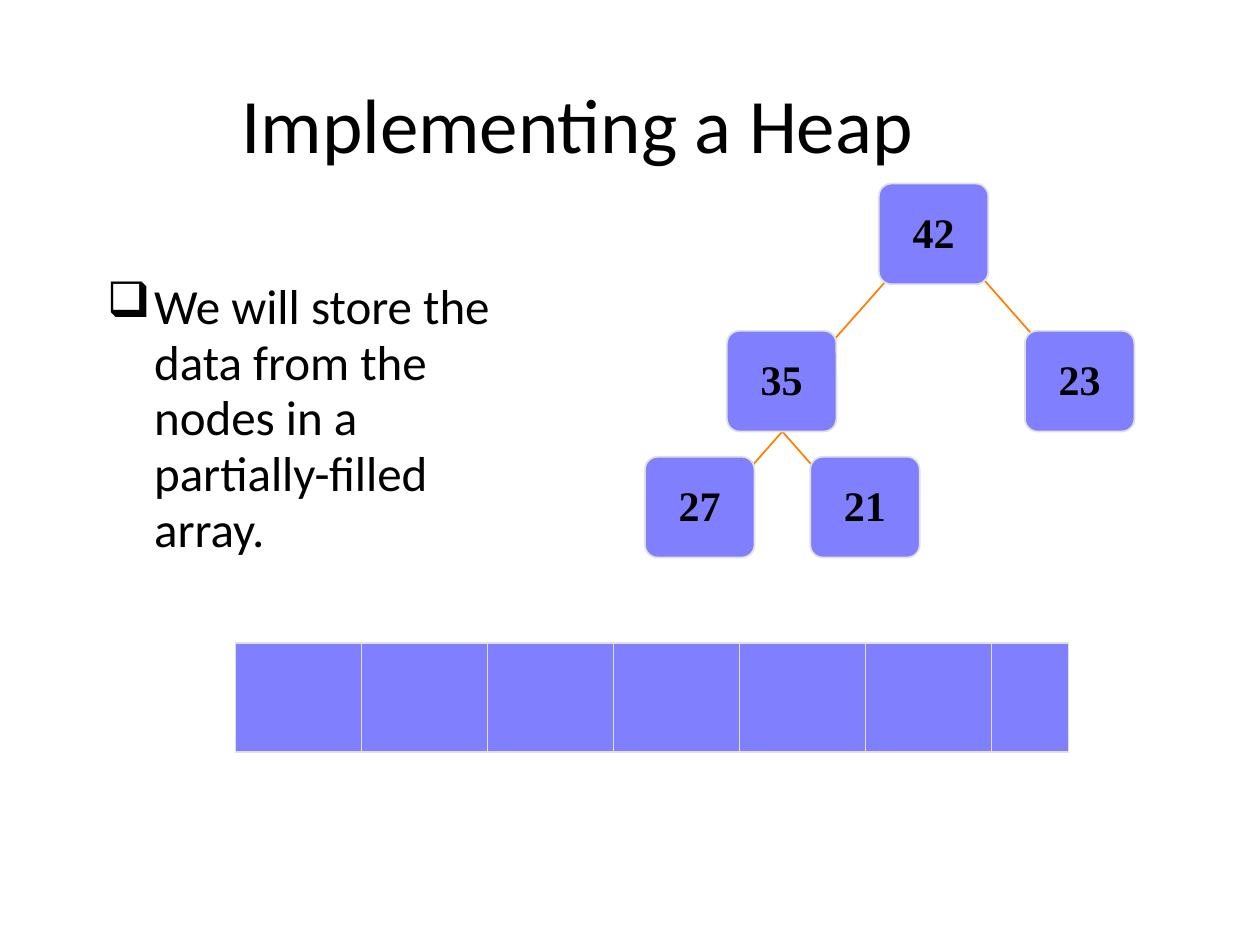
from lxml import etree
from pptx import Presentation
from pptx.dml.color import RGBColor
from pptx.enum.shapes import MSO_CONNECTOR, MSO_SHAPE
from pptx.enum.text import MSO_ANCHOR, PP_ALIGN
from pptx.oxml.ns import qn
from pptx.util import Pt

LINE = MSO_CONNECTOR.STRAIGHT
ROUND, RECT = MSO_SHAPE.ROUNDED_RECTANGLE, MSO_SHAPE.RECTANGLE
MID, TOP = MSO_ANCHOR.MIDDLE, MSO_ANCHOR.TOP
LEFT, CENTER = PP_ALIGN.LEFT, PP_ALIGN.CENTER
COLORS = {"text": "000000", "fill": "8080FF", "rim": "E0E0E0", "edge": "FF8000"}
HEX = {name: RGBColor.from_string(code) for name, code in COLORS.items()}

deck = Presentation()
deck.slide_width, deck.slide_height = Pt(720), Pt(540)
slide = deck.slides.add_slide(deck.slide_layouts[5])
shapes = slide.shapes


def write(shape, text, size, font, align, anchor, bold=False):
    frame = shape.text_frame
    frame.word_wrap = True
    frame.vertical_anchor = anchor
    para = frame.paragraphs[0]
    para.alignment = align
    para.line_spacing = 0.95
    run = para.add_run()
    run.text = text
    run.font.size, run.font.name, run.font.bold = Pt(size), font, bold
    run.font.color.rgb = HEX["text"]
    return para


def draw(shape, color):
    shape.line.color.rgb = HEX[color]
    shape.line.width = Pt(1)
    props = shape._element.spPr
    if props.find(qn("a:effectLst")) is None:
        etree.SubElement(props, qn("a:effectLst"))


# Title
title = shapes.title
title.left, title.top, title.width, title.height = Pt(24), Pt(27.4), Pt(612), Pt(90)
write(title, "Implementing a Heap", 44, "Calibri", CENTER, MID)

# Bullet text
body = shapes.add_textbox(Pt(54), Pt(156.2), Pt(258), Pt(324))
para = write(body, "We will store the data from the nodes in a partially-filled array.",
             28, "Calibri", LEFT, TOP)
para.space_before = Pt(7)
props = para._p.get_or_add_pPr()
props.set("marL", str(Pt(27)))
props.set("indent", str(-Pt(27)))
etree.SubElement(props, qn("a:buChar"), char="❑")

# Array with its cell dividers
left, top, high, cell = 134.6, 367.6, 62, 72
array = shapes.add_shape(RECT, Pt(left), Pt(top), Pt(476), Pt(high))
array.fill.solid()
array.fill.fore_color.rgb = HEX["fill"]
draw(array, "rim")
for i in range(1, 7):
    x = Pt(left + i * cell)
    draw(shapes.add_connector(LINE, x, Pt(top), x, Pt(top + high)), "rim")

# Tree edges, behind the nodes
for x1, y1, x2 in [(434.2, 232, 478.6), (460, 232, 415.4),
                   (559, 156.2, 603.4), (506.8, 160, 462.2)]:
    draw(shapes.add_connector(LINE, Pt(x1), Pt(y1), Pt(x2), Pt(y1 + 50.4)), "edge")

# Tree nodes
for value, x, y in [("21", 463, 261), ("27", 368.6, 261), ("23", 585.7, 189),
                    ("42", 502.2, 104.9), ("35", 415.4, 189)]:
    node = shapes.add_shape(ROUND, Pt(x), Pt(y), Pt(62.6), Pt(57.6))
    node.adjustments[0] = 0.126
    node.fill.solid()
    node.fill.fore_color.rgb = HEX["fill"]
    draw(node, "rim")
    write(node, value, 24, "Times New Roman", CENTER, MID, bold=True)

deck.save("out.pptx")
